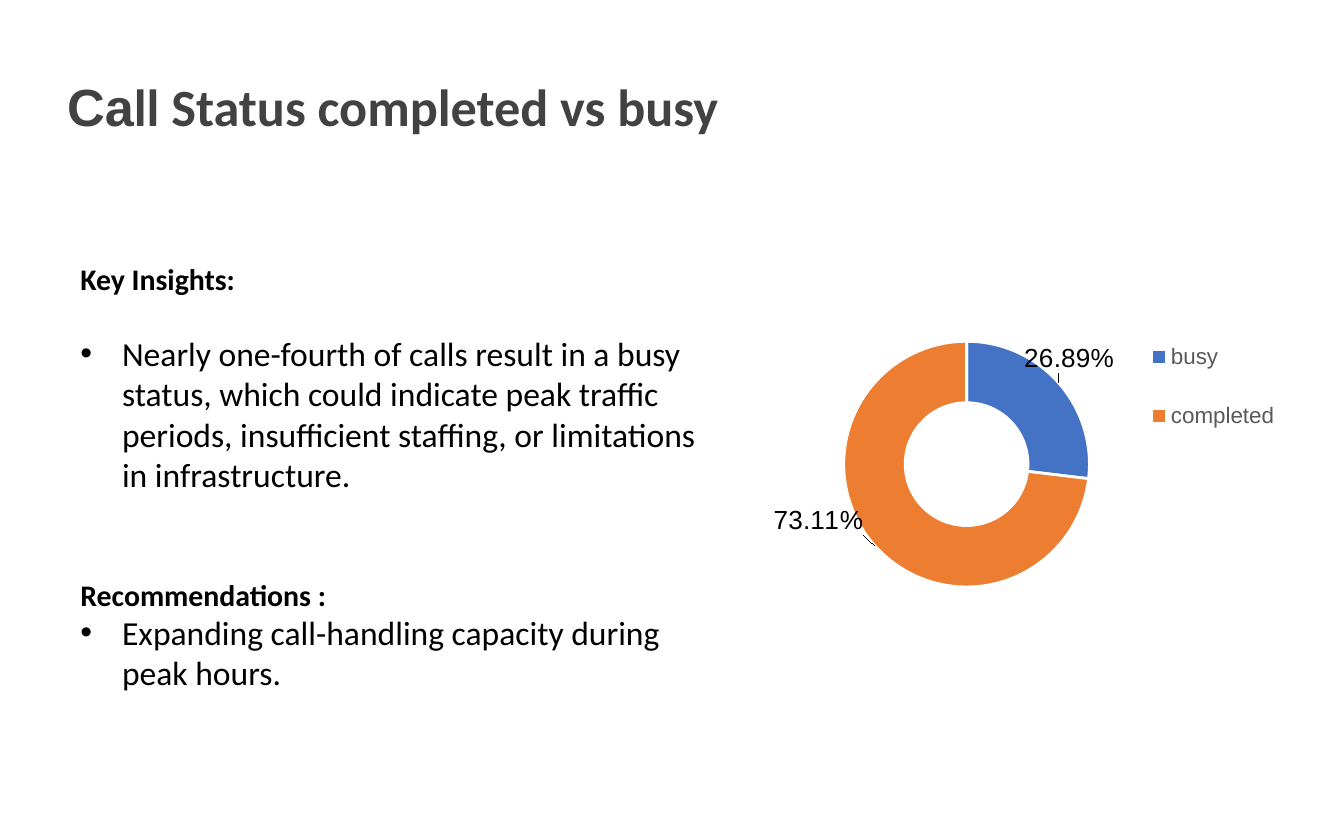
"""Builds the call status slide with its insights and doughnut chart."""
from dataclasses import dataclass

from lxml import etree
from pptx import Presentation
from pptx.chart.data import CategoryChartData
from pptx.dml.color import RGBColor
from pptx.enum.chart import XL_CHART_TYPE, XL_LEGEND_POSITION
from pptx.enum.text import MSO_ANCHOR, MSO_AUTO_SIZE, PP_ALIGN
from pptx.oxml.ns import qn
from pptx.util import Inches, Pt

DOUGHNUT = XL_CHART_TYPE.DOUGHNUT
LEGEND_RIGHT = XL_LEGEND_POSITION.RIGHT
LEFT = PP_ALIGN.LEFT
TOP = MSO_ANCHOR.TOP
NO_AUTOFIT = MSO_AUTO_SIZE.NONE
INDENT = Inches(0.31)
PERCENT = "0.00%"


@dataclass
class Line:
    text: str
    bullet: bool = False
    before: float = 0


@dataclass
class Slice:
    name: str
    value: float
    color: str
    label_shift: tuple[float, float]


LINES = [
    Line("Key Insights:"),
    Line("Nearly one-fourth of calls result in a busy status, which could "
         "indicate peak traffic periods, insufficient staffing, or "
         "limitations in infrastructure.", True, 19.5),
    Line("Recommendations :", before=44),
    Line("Expanding call-handling capacity during peak hours.", True),
]
SLICES = [
    Slice("busy", 0.2689, "4472C4", (0.06, -0.09)),
    Slice("completed", 0.7311, "ED7D31", (-0.14, -0.01)),
]


def rgb(color: str) -> RGBColor:
    return RGBColor.from_string(color)


def set_font(font, size: float, color: str, name: str = "Arial", bold: bool = False) -> None:
    font.size, font.name, font.bold = Pt(size), name, bold
    font.color.rgb = rgb(color)


def add_run(p, text: str, size: float, color: str, name: str, bold: bool) -> None:
    r = p.add_run()
    r.text = text
    set_font(r.font, size, color, name, bold)


def add_title(s) -> None:
    sp = s.shapes.title
    sp.left, sp.top, sp.width, sp.height = map(Inches, (0.5, 0.46, 7.49, 0.57))
    tf = sp.text_frame
    tf.margin_left = tf.margin_top = tf.margin_right = tf.margin_bottom = 0
    tf.vertical_anchor, tf.auto_size, tf.word_wrap = TOP, NO_AUTOFIT, True
    p = tf.paragraphs[0]
    p.alignment, p.line_spacing = LEFT, 1.2
    add_run(p, "Ca", 28, "424242", "Arial", True)
    add_run(p, "ll Status completed vs busy", 28, "424242", "Calibri", True)


def add_bullet(p) -> None:
    pPr = p._p.get_or_add_pPr()
    pPr.set("marL", str(INDENT))
    pPr.set("indent", str(-INDENT))
    etree.SubElement(pPr, qn("a:buFont"), typeface="Arial")
    etree.SubElement(pPr, qn("a:buChar"), char="•")


def add_insights(s) -> None:
    sp = s.shapes.add_textbox(*map(Inches, (0.5, 1.89, 4.92, 3.33)))
    tf = sp.text_frame
    tf.word_wrap = True
    for i, line in enumerate(LINES):
        p = tf.add_paragraph() if i else tf.paragraphs[0]
        p.space_before = Pt(line.before)
        if line.bullet:
            add_bullet(p)
        size = 18 if line.bullet else 16
        add_run(p, line.text, size, "000000", "Calibri", not line.bullet)


def set_layout(parent, index: int, inner: bool = False, edge: bool = True, **box: float) -> None:
    for old in parent.findall(qn("c:layout")):
        parent.remove(old)
    layout = etree.Element(qn("c:layout"))
    manual = etree.SubElement(layout, qn("c:manualLayout"))
    if inner:
        etree.SubElement(manual, qn("c:layoutTarget"), val="inner")
    if edge:
        for mode in ("xMode", "yMode"):
            etree.SubElement(manual, qn(f"c:{mode}"), val="edge")
    for key, value in box.items():
        etree.SubElement(manual, qn(f"c:{key}"), val=str(value))
    parent.insert(index, layout)


def format_slice(series, i: int, item: Slice) -> None:
    point = series.points[i]
    fmt = point.format
    fmt.fill.solid()
    fmt.fill.fore_color.rgb = rgb(item.color)
    fmt.line.color.rgb = rgb("FFFFFF")
    fmt.line.width = Pt(1.5)
    set_font(point.data_label.font, 14, "000000")
    dLbl = series.data_labels._element.findall(qn("c:dLbl"))[i]
    x, y = item.label_shift
    set_layout(dLbl, 1, edge=False, x=x, y=y)
    numFmt = etree.Element(qn("c:numFmt"), formatCode=PERCENT, sourceLinked="0")
    dLbl.insert(2, numFmt)


def add_status_chart(s) -> None:
    data = CategoryChartData(number_format=PERCENT)
    data.categories = [item.name for item in SLICES]
    data.add_series("Series 1", [item.value for item in SLICES])
    box = map(Inches, (5.5, 1.58, 4.2, 3.65))
    chart = s.shapes.add_chart(DOUGHNUT, *box, data).chart
    chart.has_title = False
    set_font(chart.font, 10, "000000")
    plot = chart.plots[0]
    plot.vary_by_categories = True
    plot._element.find(qn("c:holeSize")).set("val", "75")
    plot_area = plot._element.getparent()
    set_layout(plot_area, 0, inner=True, x=0.185, y=0.263, w=0.436, h=0.501)

    chart.has_legend = True
    legend = chart.legend
    legend.position, legend.include_in_layout = LEGEND_RIGHT, False
    set_font(legend.font, 12, "595959")
    set_layout(legend._element, 1, x=0.71, y=0.2, w=0.26, h=0.31)

    series = plot.series[0]
    labels = series.data_labels
    labels.show_value = True
    labels.number_format, labels.number_format_is_linked = PERCENT, False
    set_font(labels.font, 14, "000000")
    for i, item in enumerate(SLICES):
        format_slice(series, i, item)


def main() -> None:
    prs = Presentation()
    prs.slide_width, prs.slide_height = Inches(10), Inches(6.25)
    s = prs.slides.add_slide(prs.slide_layouts[5])
    add_title(s)
    add_status_chart(s)
    add_insights(s)
    prs.save("out.pptx")


if __name__ == "__main__":
    main()
